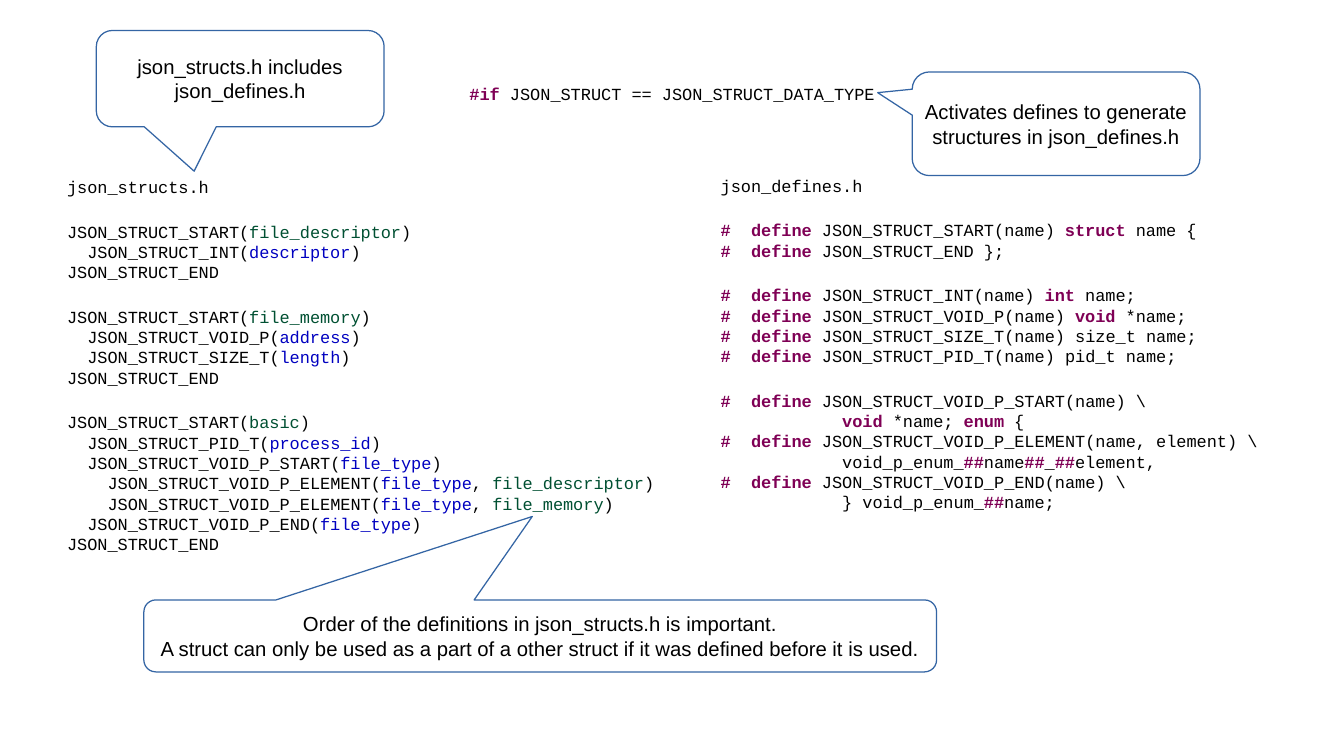
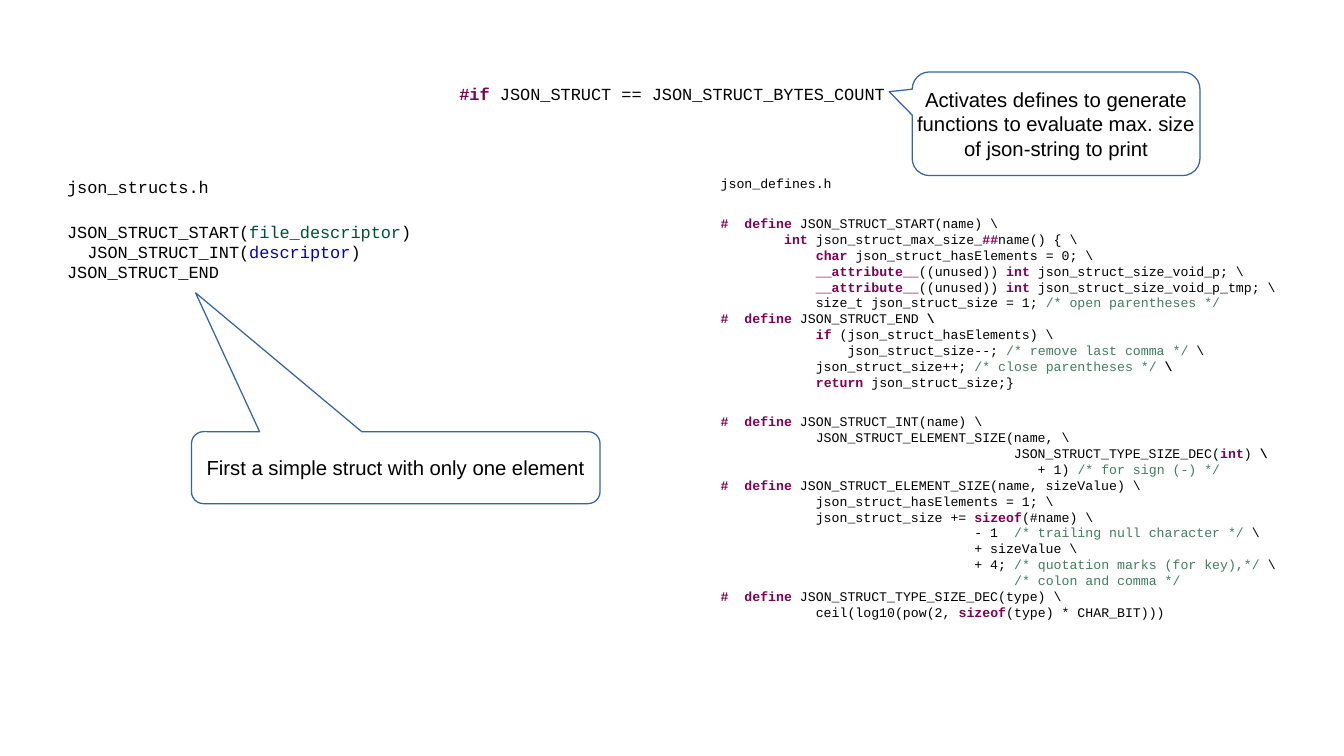
"""Build two slides that explain how json_structs.h and json_defines.h work together."""
from copy import deepcopy

from pptx import Presentation
from pptx.dml.color import RGBColor
from pptx.enum.shapes import MSO_SHAPE
from pptx.enum.text import MSO_ANCHOR, PP_ALIGN
from pptx.util import Inches, Pt

CALLOUT = MSO_SHAPE.ROUNDED_RECTANGULAR_CALLOUT
LEFT, CENTER = PP_ALIGN.LEFT, PP_ALIGN.CENTER
TOP, MIDDLE = MSO_ANCHOR.TOP, MSO_ANCHOR.MIDDLE

BLACK = RGBColor(0x00, 0x00, 0x00)
KEYWORD = RGBColor(0x7F, 0x00, 0x55)
STRUCT = RGBColor(0x00, 0x50, 0x32)
FIELD = RGBColor(0x00, 0x00, 0xC0)
COMMENT = RGBColor(0x3F, 0x7F, 0x5F)
OUTLINE = RGBColor(0x34, 0x65, 0xA4)

CODE_FONT, NOTE_FONT = "Courier New", "Arial"
MARK = "§"
STYLES = {
    "k": (KEYWORD, True),
    "s": (STRUCT, False),
    "f": (FIELD, False),
    "c": (COMMENT, False),
    "b": (BLACK, True),
}

FIRST_STRUCT = r"""json_structs.h

JSON_STRUCT_START(§sfile_descriptor§)
  JSON_STRUCT_INT(§fdescriptor§)
JSON_STRUCT_END"""

LATER_STRUCTS = r"""JSON_STRUCT_START(§sfile_memory§)
  JSON_STRUCT_VOID_P(§faddress§)
  JSON_STRUCT_SIZE_T(§flength§)
JSON_STRUCT_END

JSON_STRUCT_START(§sbasic§)
  JSON_STRUCT_PID_T(§fprocess_id§)
  JSON_STRUCT_VOID_P_START(§ffile_type§)
    JSON_STRUCT_VOID_P_ELEMENT(§ffile_type§, §sfile_descriptor§)
    JSON_STRUCT_VOID_P_ELEMENT(§ffile_type§, §sfile_memory§)
  JSON_STRUCT_VOID_P_END(§ffile_type§)
JSON_STRUCT_END"""

DATA_TYPE_DEFINES = r"""json_defines.h

§k#  define§ JSON_STRUCT_START(name) §kstruct§ name {
§k#  define§ JSON_STRUCT_END };

§k#  define§ JSON_STRUCT_INT(name) §kint§ name;
§k#  define§ JSON_STRUCT_VOID_P(name) §kvoid§ *name;
§k#  define§ JSON_STRUCT_SIZE_T(name) size_t name;
§k#  define§ JSON_STRUCT_PID_T(name) pid_t name;

§k#  define§ JSON_STRUCT_VOID_P_START(name) \
            §kvoid§ *name; §kenum§ {
§k#  define§ JSON_STRUCT_VOID_P_ELEMENT(name, element) \
            void_p_enum_§k##§name§k##§_§k##§element,
§k#  define§ JSON_STRUCT_VOID_P_END(name) \
            } void_p_enum_§k##§name;"""

SIZE_FUNCTION_DEFINES = r"""json_defines.h

§k#  define§ JSON_STRUCT_START(name) \
        §kint§ json_struct_max_size_§k##§name() { \
            §kchar§ json_struct_hasElements = 0; \
            §k__attribute__§((unused)) §kint§ json_struct_size_void_p; \
            §k__attribute__§((unused)) §kint§ json_struct_size_void_p_tmp; \
            size_t json_struct_size = 1; §c/* open parentheses */§
§k#  define§ JSON_STRUCT_END§b \§
            §kif§ (json_struct_hasElements) \
                json_struct_size--; §c/* remove last comma */§ \
            json_struct_size++; §c/* close parentheses */§§b \§
            §kreturn§ json_struct_size;}"""

INT_DEFINE = r"""§k#  define§ JSON_STRUCT_INT(name) \
            JSON_STRUCT_ELEMENT_SIZE(name, \
                                     JSON_STRUCT_TYPE_SIZE_DEC(§kint§)§b \§
                                        + 1) §c/* for sign (-) */§"""

ELEMENT_SIZE_DEFINES = r"""§k#  define§ JSON_STRUCT_ELEMENT_SIZE(name, sizeValue) \
            json_struct_hasElements = 1; \
            json_struct_size += §ksizeof§(#name) \
                                - 1  §c/* trailing null character */§ \
                                + sizeValue \
                                + 4; §c/* quotation marks (for key),*/§ \
                                     §c/* colon and comma */§
§k#  define§ JSON_STRUCT_TYPE_SIZE_DEC(type) \
            ceil(log10(pow(2, §ksizeof§(type) * CHAR_BIT)))"""

ACTIVATES_BOX = (7.48, 0.59, 2.36, 0.85)
SLIDES = [
    {
        "condition": "JSON_STRUCT_DATA_TYPE",
        "structs": f"{FIRST_STRUCT}\n\n{LATER_STRUCTS}",
        "defines": DATA_TYPE_DEFINES,
        "defines_size": 10,
        "callouts": [
            (ACTIVATES_BOX, (-0.62, -0.3),
             "Activates defines to generate\nstructures in json_defines.h"),
            ((0.79, 0.25, 2.36, 0.79), (-0.16, 0.96),
             "json_structs.h includes\njson_defines.h"),
            ((1.18, 4.92, 6.5, 0.59), (-0.01, -1.66),
             "Order of the definitions in json_structs.h is important.\n"
             "A struct can only be used as a part of a other struct "
             "if it was defined before it is used."),
        ],
    },
    {
        "condition": "JSON_STRUCT_BYTES_COUNT",
        "structs": FIRST_STRUCT,
        "defines": f"{SIZE_FUNCTION_DEFINES}\n\n{INT_DEFINE}\n{ELEMENT_SIZE_DEFINES}",
        "defines_size": 7.8,
        "callouts": [
            (ACTIVATES_BOX, (-0.58, -0.31),
             "Activates defines to generate\nfunctions to evaluate max. size\n"
             "of json-string to print"),
            ((1.57, 3.54, 3.35, 0.59), (-0.49, -2.43),
             "First a simple struct with only one element"),
        ],
    },
]


def write(shape, text, *, font=CODE_FONT, size=10, align=LEFT, anchor=TOP,
          wrap=True, margins=(0, 0)):
    """Fill a shape; blank lines part paragraphs, marks enclose a style key and its text."""
    frame = shape.text_frame
    frame.word_wrap = wrap
    frame.vertical_anchor = anchor
    frame.margin_left = frame.margin_right = Inches(margins[0])
    frame.margin_top = frame.margin_bottom = Inches(margins[1])
    for number, block in enumerate(text.split("\n\n")):
        paragraph = frame.add_paragraph() if number else frame.paragraphs[0]
        paragraph.alignment = align
        if number:
            paragraph.space_before = Pt(14.2)
        for position, part in enumerate(block.split(MARK)):
            color, bold = BLACK, False
            if position % 2:
                color, bold = STYLES[part[0]]
                part = part[1:]
            for line_number, line in enumerate(part.split("\n")):
                if line_number:
                    paragraph.add_line_break()
                    paragraph._p[-1].append(deepcopy(run._r.rPr))
                if line:
                    run = paragraph.add_run()
                    run.text = line
                    run.font.name = font
                    run.font.size = Pt(size)
                    run.font.bold = bold
                    run.font.color.rgb = color


deck = Presentation()
deck.slide_width, deck.slide_height = Inches(11.02), Inches(6.2)
blank = deck.slide_layouts[6]

for content in SLIDES:
    shapes = deck.slides.add_slide(blank).shapes

    condition = shapes.add_textbox(Inches(0.55), Inches(0.25), Inches(9.92), Inches(1.04))
    write(condition, f"§k#if§ JSON_STRUCT == {content['condition']}",
          align=CENTER, anchor=MIDDLE)

    structs = shapes.add_textbox(Inches(0.55), Inches(1.45), Inches(4.96), Inches(3.6))
    write(structs, content["structs"])

    defines = shapes.add_textbox(Inches(5.91), Inches(1.44), Inches(4.57), Inches(3.6))
    write(defines, content["defines"], size=content["defines_size"])

    for box, tip, remark in content["callouts"]:
        callout = shapes.add_shape(CALLOUT, *map(Inches, box))
        callout.adjustments[0], callout.adjustments[1] = tip
        callout.shadow.inherit = False
        callout.fill.background()
        callout.line.color.rgb = OUTLINE
        callout.line.width = Pt(0)
        write(callout, remark, font=NOTE_FONT, size=12, align=CENTER,
              anchor=MIDDLE, wrap=False, margins=(0.1, 0.05))

deck.save("out.pptx")
